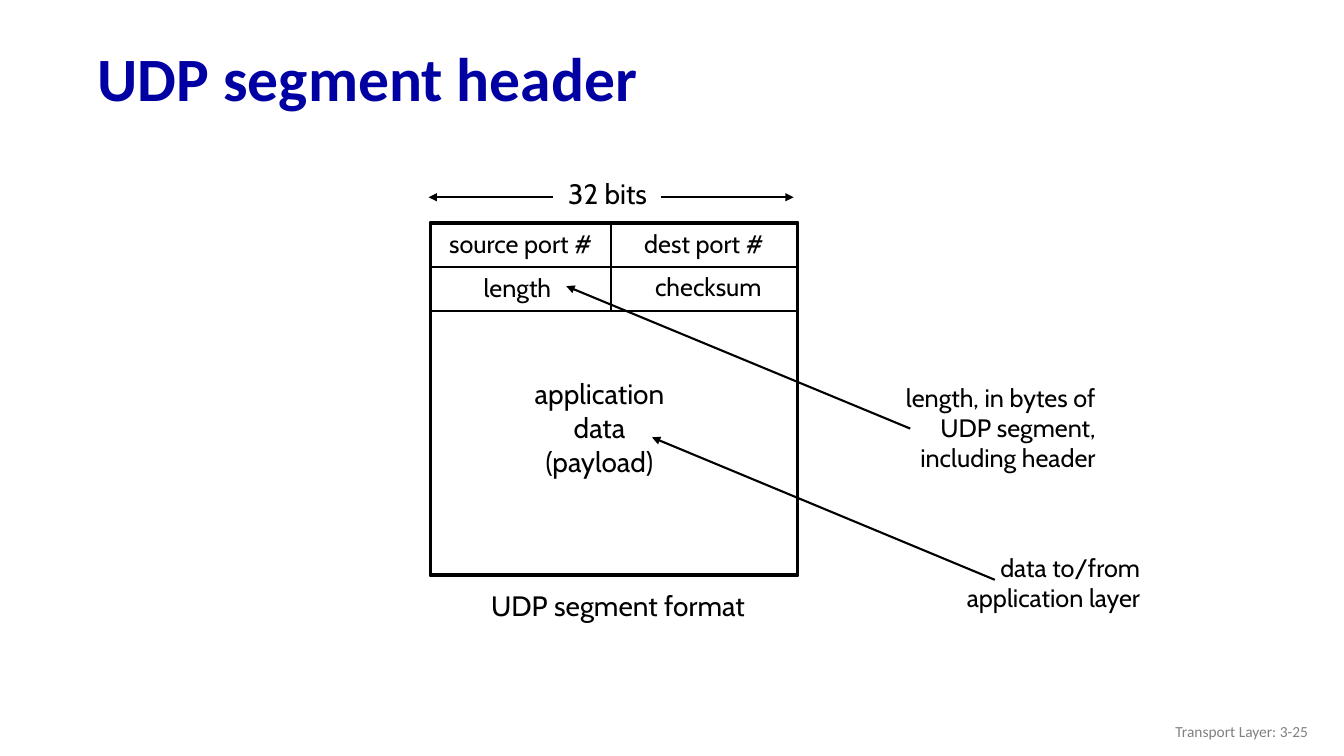
from lxml.etree import SubElement
from pptx import Presentation
from pptx.dml.color import RGBColor
from pptx.enum.shapes import MSO_CONNECTOR as Connector, MSO_SHAPE as Shape
from pptx.enum.text import MSO_ANCHOR as Anchor, MSO_AUTO_SIZE as AutoSize, PP_ALIGN as Align
from pptx.oxml.ns import qn
from pptx.util import Cm, Pt


def colour(value):
    return RGBColor.from_string(value)


class SegmentSlide:
    ink = "000000"
    paper = "FFFFFF"
    title_blue = "0000A3"
    footer_grey = "808080"
    body_font = "Cabin"
    heading_font = "Calibri"

    def __init__(self, presentation):
        self.slide = presentation.slides.add_slide(presentation.slide_layouts[5])

    def set_text(self, shape, text, size, font, ink, align, bold=False):
        shape.text_frame.text = text
        for paragraph in shape.text_frame.paragraphs:
            paragraph.alignment = align
            for run in paragraph.runs:
                run.font.size = Pt(size)
                run.font.name = font
                run.font.bold = bold
                run.font.color.rgb = colour(ink)

    def title(self, text, left, top, width, height):
        shape = self.slide.shapes.title
        shape.left, shape.top, shape.width, shape.height = map(Cm, (left, top, width, height))
        self.set_text(shape, text, 44, self.heading_font, self.title_blue, Align.LEFT, True)
        shape.text_frame.vertical_anchor = Anchor.MIDDLE
        shape.text_frame.auto_size = AutoSize.NONE
        shape.text_frame.paragraphs[0].line_spacing = 0.9

    def frame(self, left, top, width, height):
        shape = self.slide.shapes.add_shape(Shape.RECTANGLE, *map(Cm, (left, top, width, height)))
        shape.shadow.inherit = False
        shape.fill.solid()
        shape.fill.fore_color.rgb = colour(self.paper)
        shape.line.color.rgb = colour(self.ink)
        shape.line.width = Pt(2.75)

    def label(self, text, left, top, width, height, size=18, align=Align.CENTER, wrap=False):
        shape = self.slide.shapes.add_textbox(*map(Cm, (left, top, width, height)))
        self.set_text(shape, text, size, self.body_font, self.ink, align)
        shape.text_frame.word_wrap = wrap
        shape.text_frame.auto_size = AutoSize.SHAPE_TO_FIT_TEXT

    def note(self, text, left, top, height):
        self.label(text, left, top, 6.68, height, align=Align.RIGHT, wrap=True)

    def footer(self, text, left, top, width, height):
        shape = self.slide.shapes.add_textbox(*map(Cm, (left, top, width, height)))
        self.set_text(shape, text, 11, self.heading_font, self.footer_grey, Align.RIGHT)
        shape.text_frame.word_wrap = True
        shape.text_frame.vertical_anchor = Anchor.MIDDLE

    def line(self, start_x, start_y, end_x, end_y, arrow=False):
        connector = self.slide.shapes.add_connector(
            Connector.STRAIGHT, *map(Cm, (start_x, start_y, end_x, end_y)))
        connector.line.color.rgb = colour(self.ink)
        connector.line.width = Pt(1.5)
        properties = connector._element.spPr
        if arrow:
            SubElement(properties.find(qn("a:ln")), qn("a:tailEnd"), type="triangle")
        SubElement(properties, qn("a:effectLst"))


def main():
    presentation = Presentation()
    presentation.slide_width, presentation.slide_height = Cm(33.87), Cm(19.05)
    page = SegmentSlide(presentation)
    page.title("UDP segment header", 2.21, 0.81, 30.84, 2.49)

    left, top, width, height = 10.85, 5.61, 9.25, 8.89
    right, middle, row_height = left + width, 15.39, 1.11
    page.frame(left, top, width, height)
    for row in (1, 2):
        bottom = top + row * row_height
        page.line(left, bottom, right, bottom)
        page.line(middle, bottom, middle, bottom - row_height)

    page.label("source port #", 10.95, 5.64, 4.34, 1.03)
    page.label("dest port #", 15.9, 5.64, 3.68, 1.03)
    page.label("length", 11.91, 6.74, 2.26, 1.03)
    page.label("checksum", 16.21, 6.7, 3.28, 1.03)
    page.label("application\ndata\n(payload)", 13.18, 9.37, 3.86, 2.79, 20)
    page.label("UDP segment format", 12.07, 14.71, 7.01, 1.09, 20)
    page.label("32 bits", 14.02, 4.32, 2.59, 1.09, 20)

    page.line(16.66, 4.97, 20, 4.97, arrow=True)
    page.line(13.94, 4.97, 10.8, 4.97, arrow=True)

    page.note("length, in bytes of UDP segment, including header", 21.18, 9.5, 2.54)
    page.line(22.94, 10.8, 14.27, 7.21, arrow=True)
    page.note("data to/from application layer", 22.3, 13.79, 1.8)
    page.line(25.07, 14.61, 16.43, 11.02, arrow=True)

    page.footer("Transport Layer: 3-25", 25.6, 17.91, 7.62, 1.02)
    presentation.save("out.pptx")


if __name__ == "__main__":
    main()
